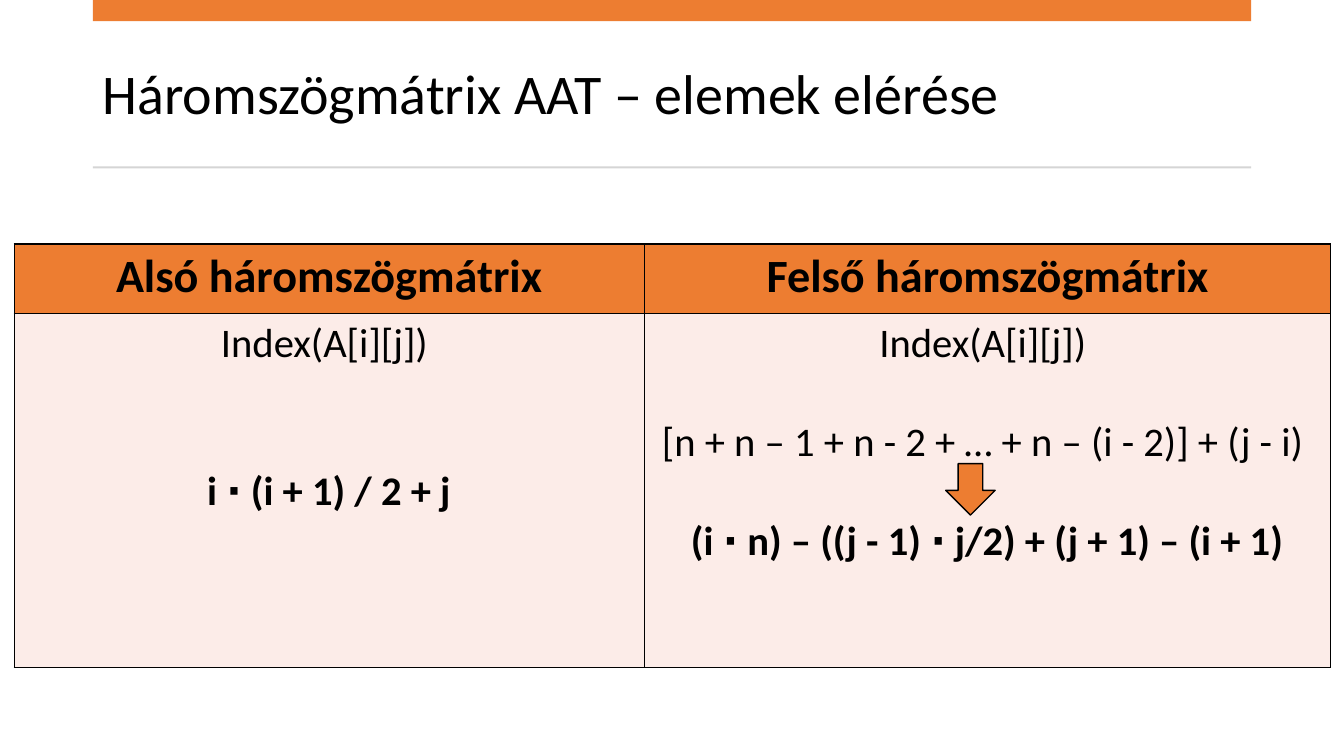
from lxml import etree
from pptx import Presentation
from pptx import util as u
from pptx.dml.color import RGBColor
from pptx.enum import shapes, text
from pptx.oxml import ns

COLORS = {"accent": "ED7D31", "rule": "D5D5D5", "body": "FCECE8", "ink": "000000"}
BLANK_LINE = 35.4  # points, one line of 29 pt text


class SlideBuilder:
    font = "Calibri"

    def __init__(self, slide):
        self.slide = slide

    def color(self, name):
        return RGBColor.from_string(COLORS[name])

    def paragraph(self, paragraph, wording, size, bold=False, gap_lines=0):
        paragraph.text = wording
        if gap_lines:
            paragraph.space_before = u.Pt(gap_lines * BLANK_LINE)
        font = paragraph.font
        font.name, font.size, font.bold = self.font, u.Pt(size), bold
        font.color.rgb = self.color("ink")

    def title(self, wording, *box):
        frame = self.slide.shapes.add_textbox(*map(u.Inches, box)).text_frame
        frame.word_wrap = True
        frame.vertical_anchor = text.MSO_ANCHOR.MIDDLE
        frame.paragraphs[0].line_spacing = 0.9
        self.paragraph(frame.paragraphs[0], wording, 40)

    def shape(self, kind, fill, *box, outline=None):
        shape = self.slide.shapes.add_shape(kind, *map(u.Inches, box))
        shape.shadow.inherit = False
        shape.fill.solid()
        shape.fill.fore_color.rgb = self.color(fill)
        if outline:
            shape.line.color.rgb = self.color(outline)
            shape.line.width = u.Pt(1)
        else:
            shape.line.fill.background()

    def borders(self, cell):
        properties = cell._tc.get_or_add_tcPr()
        for position, side in enumerate(("lnL", "lnR", "lnT", "lnB")):
            line = etree.Element(ns.qn(f"a:{side}"), w=str(u.Pt(1)))
            fill = etree.SubElement(line, ns.qn("a:solidFill"))
            etree.SubElement(fill, ns.qn("a:srgbClr"), val=COLORS["ink"])
            properties.insert(position, line)

    def cell(self, cell, fill, lines, size):
        cell.fill.solid()
        cell.fill.fore_color.rgb = self.color(fill)
        self.borders(cell)
        frame = cell.text_frame
        for number, (wording, bold, gap_lines) in enumerate(lines):
            paragraph = frame.add_paragraph() if number else frame.paragraphs[0]
            paragraph.alignment = text.PP_ALIGN.CENTER
            self.paragraph(paragraph, wording, size, bold, gap_lines)

    def table(self, columns, left, top, widths, heights):
        box = map(u.Inches, (left, top, sum(widths), sum(heights)))
        table = self.slide.shapes.add_table(len(heights), len(widths), *box).table
        for row, height in zip(table.rows, heights):
            row.height = u.Inches(height)
        for index, (heading, formulas) in enumerate(columns):
            table.columns[index].width = u.Inches(widths[index])
            self.cell(table.cell(0, index), "accent", [(heading, True, 0)], 33)
            self.cell(table.cell(1, index), "body", formulas, 29)


def main():
    deck = Presentation()
    deck.slide_width, deck.slide_height = u.Inches(13.33), u.Inches(7.5)
    builder = SlideBuilder(deck.slides.add_slide(deck.slide_layouts[6]))
    preset = shapes.MSO_SHAPE

    # Title with its bar and rule
    builder.title("Háromszögmátrix AAT – elemek elérése", 0.92, 0.37, 11.49, 1.18)
    builder.shape(preset.RECTANGLE, "accent", 0.92, 0, 11.49, 0.21)
    builder.shape(preset.RECTANGLE, "rule", 0.92, 1.65, 11.49, 0.02)

    # Index formulas: wording, bold, blank lines above
    index_call = ("Index(A[i][j]) ", False, 0)
    lower = [index_call, ("i ∙ (i + 1) / 2 + j", True, 2)]
    upper = [
        index_call,
        ("[n + n – 1 + n - 2 + … + n – (i - 2)] + (j - i) ", False, 1),
        ("(i ∙ n) – ((j - 1) ∙ j/2) + (j + 1) – (i + 1)", True, 1),
    ]
    columns = [("Alsó háromszögmátrix", lower), ("Felső háromszögmátrix", upper)]
    builder.table(columns, 0.14, 2.42, widths=(6.25, 6.81), heights=(0.69, 3.51))

    # Arrow from the sum to its closed form
    builder.shape(preset.DOWN_ARROW, "accent", 9.38, 4.6, 0.49, 0.51, outline="ink")

    deck.save("out.pptx")


if __name__ == "__main__":
    main()
